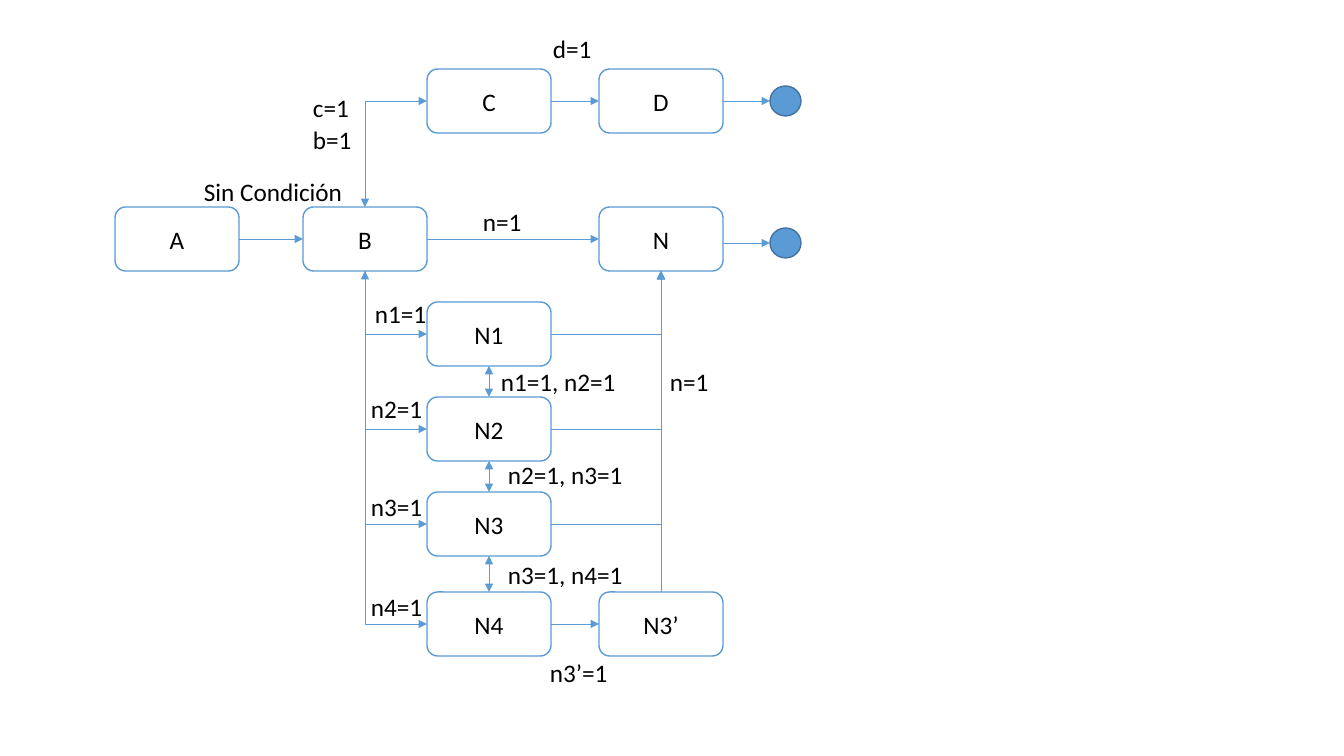
import pptx
import pptx.util
import pptx.dml.color
import pptx.enum.shapes
import pptx.enum.text
import pptx.oxml.ns
import lxml.etree

BLUE = pptx.dml.color.RGBColor(0x5B, 0x9B, 0xD5)
DARK_BLUE = pptx.dml.color.RGBColor(0x43, 0x73, 0x9E)
WHITE = pptx.dml.color.RGBColor(0xFF, 0xFF, 0xFF)
BLACK = pptx.dml.color.RGBColor(0, 0, 0)
SHAPES = pptx.enum.shapes.MSO_SHAPE
CONNECTORS = pptx.enum.shapes.MSO_CONNECTOR
qn = pptx.oxml.ns.qn

# Connection sites of a state box
TOP, LEFT, BOTTOM, RIGHT = range(4)
BOX_WIDTH, BOX_HEIGHT = 124, 64
END_WIDTH, END_HEIGHT = 31, 30
LABEL_HEIGHT = 40


def px(length):
    return pptx.util.Emu(round(length * 914400 / 100.8))


class Diagram:
    font = "Calibri"
    font_size = pptx.util.Pt(18)
    outline_width = pptx.util.Pt(1)
    link_width = pptx.util.Pt(0.5)

    def __init__(self, slide):
        self.slide = slide

    def text_run(self, paragraph, text):
        run = paragraph.add_run()
        run.text = text
        run.font.name = self.font
        run.font.size = self.font_size
        run.font.color.rgb = BLACK

    def shape(self, kind, left, top, width, height, fill, line):
        shape = self.slide.shapes.add_shape(kind, px(left), px(top), px(width), px(height))
        shape.shadow.inherit = False
        shape.fill.solid()
        shape.fill.fore_color.rgb = fill
        shape.line.color.rgb = line
        shape.line.width = self.outline_width
        return shape

    def state(self, name, left, top):
        shape = self.shape(SHAPES.ROUNDED_RECTANGLE, left, top, BOX_WIDTH, BOX_HEIGHT, WHITE, BLUE)
        shape.text_frame.vertical_anchor = pptx.enum.text.MSO_ANCHOR.MIDDLE
        paragraph = shape.text_frame.paragraphs[0]
        paragraph.alignment = pptx.enum.text.PP_ALIGN.CENTER
        self.text_run(paragraph, name)
        return shape

    def end_state(self, left, top):
        self.shape(SHAPES.OVAL, left, top, END_WIDTH, END_HEIGHT, BLUE, DARK_BLUE)

    def label(self, text, left, top, width):
        box = self.slide.shapes.add_textbox(px(left), px(top), px(width), px(LABEL_HEIGHT))
        box.text_frame.word_wrap = True
        box.text_frame.auto_size = pptx.enum.text.MSO_AUTO_SIZE.SHAPE_TO_FIT_TEXT
        self.text_run(box.text_frame.paragraphs[0], text)

    def line(self, start=(0, 0), end=(0, 0), kind=CONNECTORS.STRAIGHT, arrows=("tailEnd",)):
        connector = self.slide.shapes.add_connector(kind, *map(px, start + end))
        connector.line.color.rgb = BLUE
        connector.line.width = self.link_width
        properties = connector._element.spPr
        for arrow in arrows:
            lxml.etree.SubElement(properties.find(qn("a:ln")), qn("a:" + arrow), type="triangle")
        lxml.etree.SubElement(properties, qn("a:effectLst"))
        return connector

    def link(self, source, source_site, target, target_site, **style):
        connector = self.line(**style)
        connector.begin_connect(source, source_site)
        connector.end_connect(target, target_site)
        return connector

    def corner(self, source, source_site, target, target_site, arrows):
        """One-bend link that leaves its source horizontally."""
        connector = self.link(source, source_site, target, target_site,
                              kind=CONNECTORS.ELBOW, arrows=arrows)
        connector._element.spPr.find(qn("a:prstGeom")).set("prst", "bentConnector2")


presentation = pptx.Presentation()
presentation.slide_width = px(1344)
presentation.slide_height = px(756)
diagram = Diagram(presentation.slides.add_slide(presentation.slide_layouts[6]))

# States
COLUMN_A, COLUMN_B, COLUMN_C, COLUMN_D, COLUMN_END = 115, 303, 427, 599, 770
positions = {
    "A": (COLUMN_A, 207), "B": (COLUMN_B, 207), "N": (COLUMN_D, 207),
    "C": (COLUMN_C, 69), "D": (COLUMN_D, 69),
    "N1": (COLUMN_C, 302), "N2": (COLUMN_C, 397), "N3": (COLUMN_C, 492),
    "N4": (COLUMN_C, 592), "N3’": (COLUMN_D, 592),
}
states = {name: diagram.state(name, *position) for name, position in positions.items()}

# End states and their arrows
for top in (86, 228):
    diagram.end_state(COLUMN_END, top)
    middle = top + END_HEIGHT // 2
    diagram.line((COLUMN_D + BOX_WIDTH, middle), (COLUMN_END, middle))

# Horizontal transitions
for source, target in (("A", "B"), ("B", "N"), ("C", "D"), ("N4", "N3’")):
    diagram.link(states[source], RIGHT, states[target], LEFT)

# Transitions within the N chain
both = ("headEnd", "tailEnd")
chain = ["N1", "N2", "N3", "N4"]
for upper, lower in zip(chain, chain[1:]):
    diagram.link(states[upper], BOTTOM, states[lower], TOP, arrows=both)

# Branches between B and the other rows
diagram.corner(states["C"], LEFT, states["B"], TOP, both)
for name in chain:
    arrows = both if name == "N4" else ("headEnd",)
    diagram.corner(states[name], LEFT, states["B"], BOTTOM, arrows)

# Returns to N
for name in chain[:3]:
    diagram.corner(states[name], RIGHT, states["N"], BOTTOM, ("tailEnd",))
diagram.link(states["N3’"], TOP, states["N"], BOTTOM)

# Conditions
for text, left, top, width in (
    ("Sin Condición", 194, 171, 161),
    ("c=1", 303, 87, 62), ("b=1", 303, 119, 62), ("d=1", 543, 28, 62),
    ("n=1", 473, 201, 79), ("n=1", 660, 361, 79),
    ("n1=1", 365, 293, 79), ("n2=1", 361, 388, 79),
    ("n3=1", 361, 486, 79), ("n4=1", 361, 586, 79),
    ("n1=1, n2=1", 491, 361, 153), ("n2=1, n3=1", 498, 454, 153),
    ("n3=1, n4=1", 498, 554, 153), ("n3’=1", 540, 652, 104),
):
    diagram.label(text, left, top, width)

presentation.save("out.pptx")
